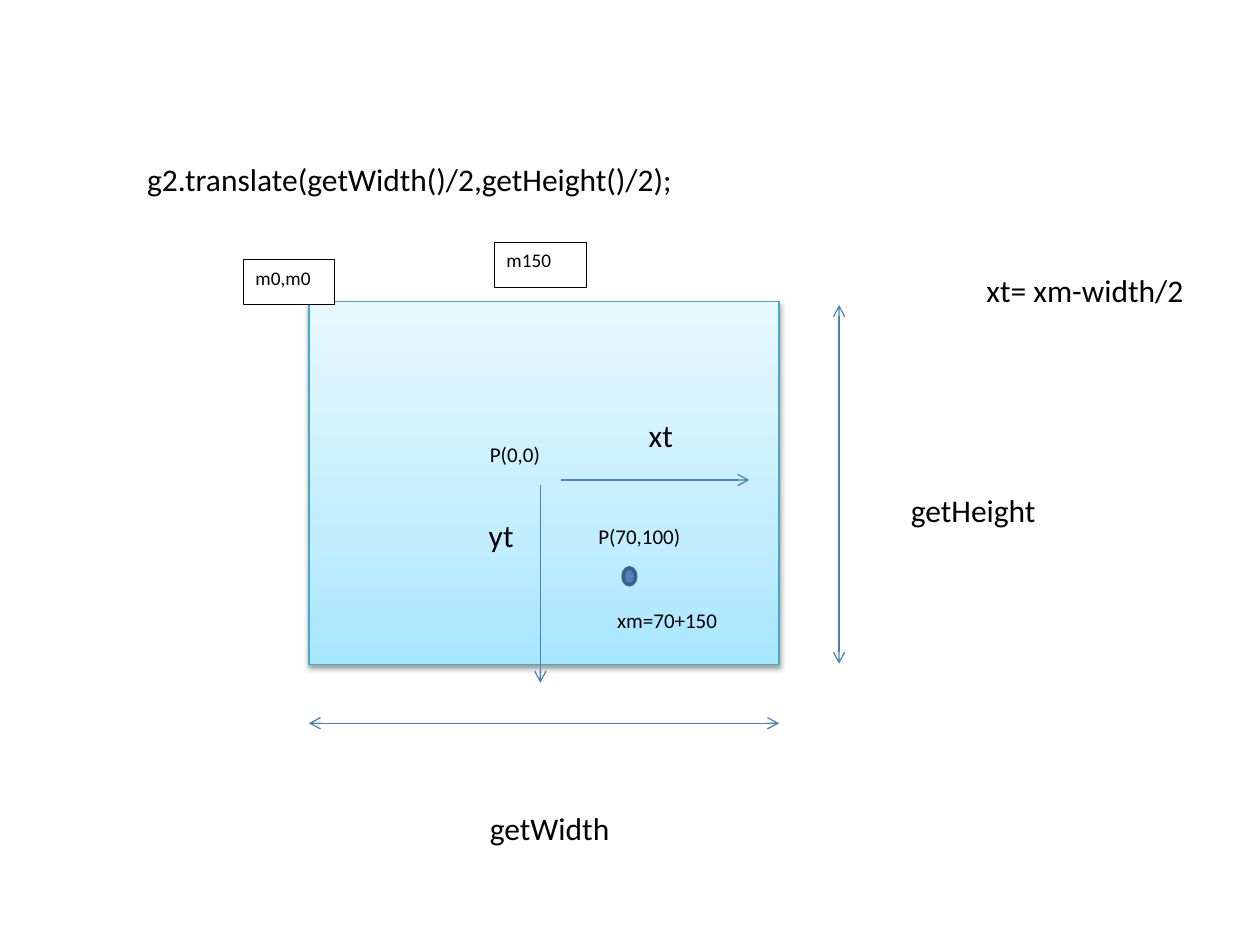
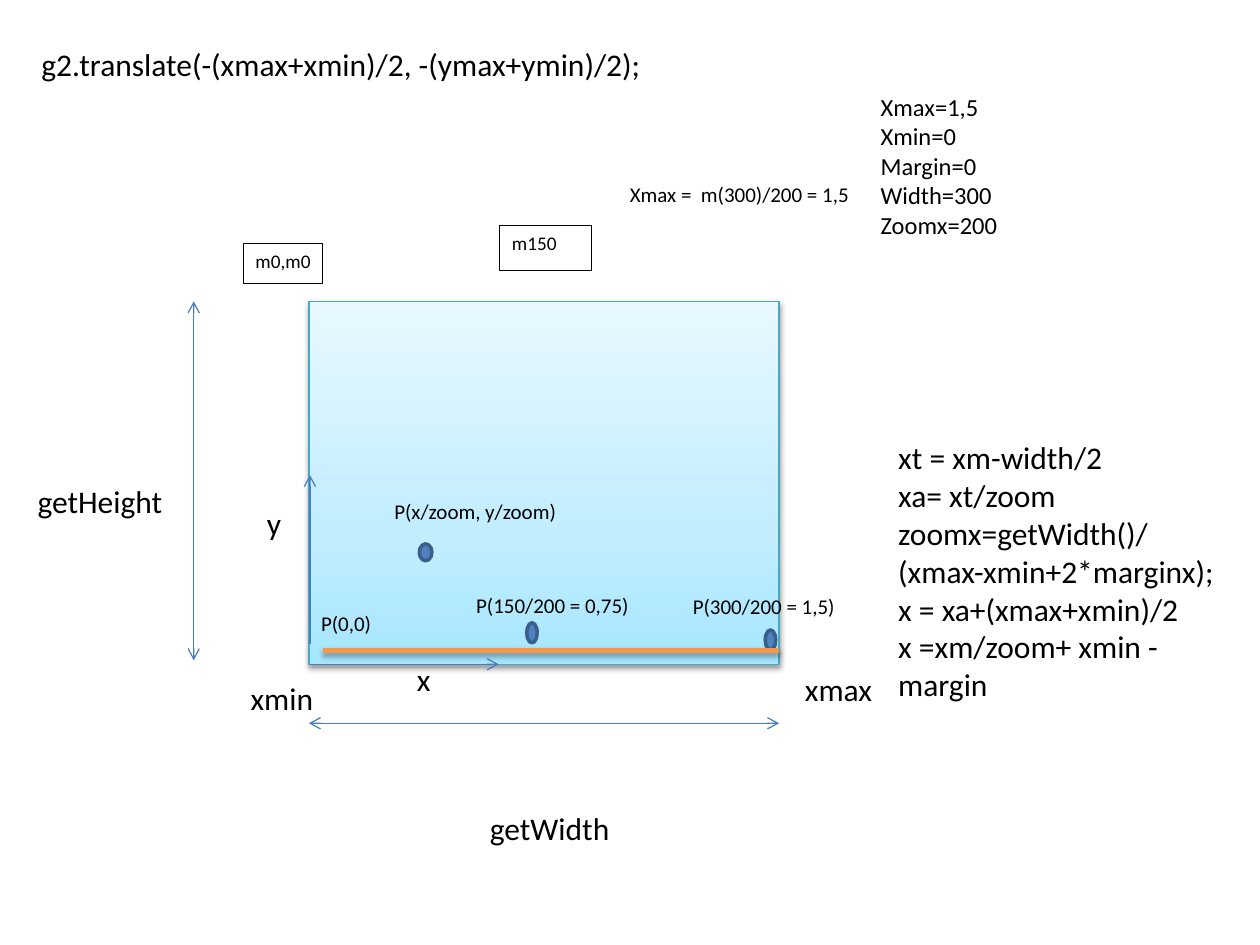
from lxml import etree
from pptx import Presentation
from pptx.dml.color import RGBColor
from pptx.enum.shapes import MSO_CONNECTOR, MSO_SHAPE
from pptx.enum.text import MSO_ANCHOR, MSO_AUTO_SIZE, PP_ALIGN
from pptx.oxml import parse_xml
from pptx.oxml.ns import qn
from pptx.util import Pt

RECT, OVAL = MSO_SHAPE.RECTANGLE, MSO_SHAPE.OVAL
STRAIGHT = MSO_CONNECTOR.STRAIGHT
TOP, LEFT = MSO_ANCHOR.TOP, PP_ALIGN.LEFT
GROW, FIXED = MSO_AUTO_SIZE.SHAPE_TO_FIT_TEXT, MSO_AUTO_SIZE.NONE

FONT = "Calibri"
BLACK, WHITE = "000000", "FFFFFF"
ARROW_BLUE, PANEL_EDGE, STRIP_ORANGE = "4B7EBC", "46AAC5", "F79646"
DOT_FILL, DOT_EDGE = "4F81BD", "3A5F8C"
PANEL_STOPS = [(0, "A7E6FF"), (35, "C1EDFF"), (100, "E7F8FF")]
DRAWING_NS = "http://schemas.openxmlformats.org/drawingml/2006/main"

NAME_SIZE, TAG_SIZE, NOTE_SIZE, VALUE_SIZE = 18, 11, 12, 14
PANEL = (176.5, 172.2, 268.7, 207.4)  # the drawing area: left, top, width, height
RIGHT, BOTTOM = PANEL[0] + PANEL[2], PANEL[1] + PANEL[3]

# Shared by both slides
WIDTH_ARROW = (176.5, 413.3, RIGHT, 413.3, True)
WIDTH_NAME = ("getWidth", 272.9, 458.6, 83.5)

# tags: text, left, top, width, height      arrows: x1, y1, x2, y2, two-headed
# names: text, left, top, width             dots: left, top, width, height
# notes: lines, left, top, width, size[, height]
SLIDES = [
    {
        "tags": [("m0,m0", 138.9, 148.5, 52.5, 25.8),
                 ("m150", 282.3, 138.3, 52.8, 26)],
        "arrows": [(320.6, 274.3, 428.2, 274.3, False),
                   (308.8, 276.9, 308.8, 390.2, False),
                   (479.5, 174.3, 479.5, 379.3, True)],
        "names": [("xt", 363.6, 234, 28.8),
                  ("yt", 272.2, 291.6, 28.8),
                  ("getHeight", 513.4, 277.2, 86.4),
                  ("g2.translate(getWidth()/2,getHeight()/2);", 77, 87.8, 318.2),
                  ("xt= xm-width/2", 556.6, 151.5, 128.2)],
        "dots": [(356.1, 324.5, 7.2, 9.7)],
        "notes": [(["P(70,100)"], 334.8, 295.5, 79.2, NOTE_SIZE),
                  (["P(0,0)"], 272.9, 248.6, 47.5, NOTE_SIZE),
                  (["xm=70+150"], 345.6, 343.6, 79.2, NOTE_SIZE)],
        "strips": [],
    },
    {
        "tags": [("m0,m0", 138.9, 138.9, 45.6, 23.3),
                 ("m150", 285.5, 128.6, 52.6, 26)],
        "arrows": [(177.1, BOTTOM, 285, BOTTOM, False),
                   (177.1, 367.9, 177.1, 271.4, False),
                   (110.7, 172.2, 110.7, 377.3, True)],
        "names": [("x", 231.1, 373.9, 22.3),
                  ("y", 145.4, 284.6, 23),
                  ("getHeight", 14.4, 272, 86.4),
                  ("xmax", 452.9, 379.4, 53.3),
                  ("xmin", 136.1, 384.5, 50.4)],
        "dots": [(301, 355.9, 6, 11.5),
                 (437.3, 360, 6, 11.5),
                 (239.6, 310.8, 7.2, 9.7)],
        "notes": [(["g2.translate(-(xmax+xmin)/2, -(ymax+ymin)/2);"],
                   16.6, 22.3, 537.8, NAME_SIZE),
                  (["Xmax =  m(300)/200 = 1,5"], 352.8, 100.1, 141.1, NOTE_SIZE),
                  (["Xmax=1,5", "Xmin=0", "Margin=0", "Width=300", "Zoomx=200"],
                   496.1, 49, 147.6, VALUE_SIZE, 135.4),
                  (["P(0,0)"], 176.4, 345.6, 47.5, NOTE_SIZE),
                  (["P(150/200 = 0,75)"], 265, 334.8, 110.2, NOTE_SIZE),
                  (["P(300/200 = 1,5)"], 388.8, 335.5, 110.2, NOTE_SIZE),
                  (["P(x/zoom, y/zoom)"], 218.2, 281.5, 123.1, NOTE_SIZE),
                  (["xt = xm-width/2", "xa= xt/zoom",
                    "zoomx=getWidth()/(xmax-xmin+2*marginx);",
                    "x = xa+(xmax+xmin)/2", "x =xm/zoom+ xmin - margin"],
                   506.2, 247, 199.4, NAME_SIZE, 181.4)],
        "strips": [(184.5, 371.7, RIGHT, 371.7)],
    },
]


def colour(code):
    """Turn a hex string into a colour."""
    return RGBColor.from_string(code)


def points(*lengths):
    """Turn numbers into lengths in points."""
    return [Pt(length) for length in lengths]


def set_line(item, code, width):
    """Give a shape or connector its line colour and width."""
    item.line.color.rgb = colour(code)
    item.line.width = Pt(width)


def set_effects(item, shadow=None):
    """Clear the inherited shadow, or set one of (opacity, blur, distance)."""
    properties = item._element.spPr
    effects = etree.SubElement(properties, qn("a:effectLst"))
    if shadow:
        opacity, blur, distance = shadow
        outer = etree.SubElement(
            effects, qn("a:outerShdw"), blurRad=str(Pt(blur)), dist=str(Pt(distance)),
            dir="5400000", rotWithShape="0")
        black = etree.SubElement(outer, qn("a:srgbClr"), val=BLACK)
        etree.SubElement(black, qn("a:alpha"), val=str(opacity * 1000))


def write(frame, lines, size, wraps, fit):
    """Write lines of left-aligned black text, one paragraph each."""
    frame.word_wrap = wraps
    frame.auto_size = fit
    frame.vertical_anchor = TOP
    for index, line in enumerate(lines):
        paragraph = frame.add_paragraph() if index else frame.paragraphs[0]
        paragraph.alignment = LEFT
        run = paragraph.add_run()
        run.text = line
        run.font.name = FONT
        run.font.size = Pt(size)
        run.font.color.rgb = colour(BLACK)


def add_panel(slide):
    """Draw the shaded drawing area."""
    panel = slide.shapes.add_shape(RECT, *points(*PANEL))
    stops = "".join(f'<a:gs pos="{place * 1000}"><a:srgbClr val="{code}"/></a:gs>'
                    for place, code in PANEL_STOPS)
    gradient = parse_xml(
        f'<a:gradFill xmlns:a="{DRAWING_NS}" rotWithShape="1"><a:gsLst>{stops}</a:gsLst>'
        '<a:lin ang="16200000" scaled="0"/></a:gradFill>')
    panel._element.spPr.find(qn("a:prstGeom")).addnext(gradient)
    set_line(panel, PANEL_EDGE, 0.75)
    set_effects(panel, (38, 3.1, 1.6))


def add_solid(slide, kind, place, fill, edge, edge_width):
    """Draw a plain filled shape and return it."""
    solid = slide.shapes.add_shape(kind, *points(*place))
    solid.fill.solid()
    solid.fill.fore_color.rgb = colour(fill)
    set_line(solid, edge, edge_width)
    set_effects(solid)
    return solid


def add_line(slide, ends, code, width, heads=(), shadow=None):
    """Draw a straight line with open arrowheads at the named ends."""
    line = slide.shapes.add_connector(STRAIGHT, *points(*ends))
    set_line(line, code, width)
    outline = line._element.spPr.find(qn("a:ln"))
    for head in heads:
        etree.SubElement(outline, qn(head), type="arrow")
    set_effects(line, shadow)


def add_label(slide, lines, left, top, width, size, height=None, wraps=True):
    """Place a text box; its height defaults to that of one line."""
    place = points(left, top, width, height or size * 1.2 + 7.2)
    write(slide.shapes.add_textbox(*place).text_frame, lines, size, wraps, GROW)


def build_slide(deck, content):
    """Draw one coordinate diagram."""
    slide = deck.slides.add_slide(deck.slide_layouts[6])
    add_panel(slide)
    for text, *place in content["tags"]:
        tag = add_solid(slide, RECT, place, WHITE, BLACK, 0.5)
        write(tag.text_frame, [text], TAG_SIZE, False, FIXED)
    for *ends, two_headed in content["arrows"] + [WIDTH_ARROW]:
        heads = ["a:headEnd", "a:tailEnd"] if two_headed else ["a:tailEnd"]
        add_line(slide, ends, ARROW_BLUE, 0.75, heads)
    for text, *place in content["names"] + [WIDTH_NAME]:
        add_label(slide, [text], *place, NAME_SIZE, wraps=False)
    for place in content["dots"]:
        add_solid(slide, OVAL, place, DOT_FILL, DOT_EDGE, 2)
    for note in content["notes"]:
        add_label(slide, *note)
    for ends in content["strips"]:
        add_line(slide, ends, STRIP_ORANGE, 3, shadow=(35, 3.1, 1.8))


deck = Presentation()
deck.slide_width, deck.slide_height = points(720, 540)
for content in SLIDES:
    build_slide(deck, content)
deck.save("out.pptx")
